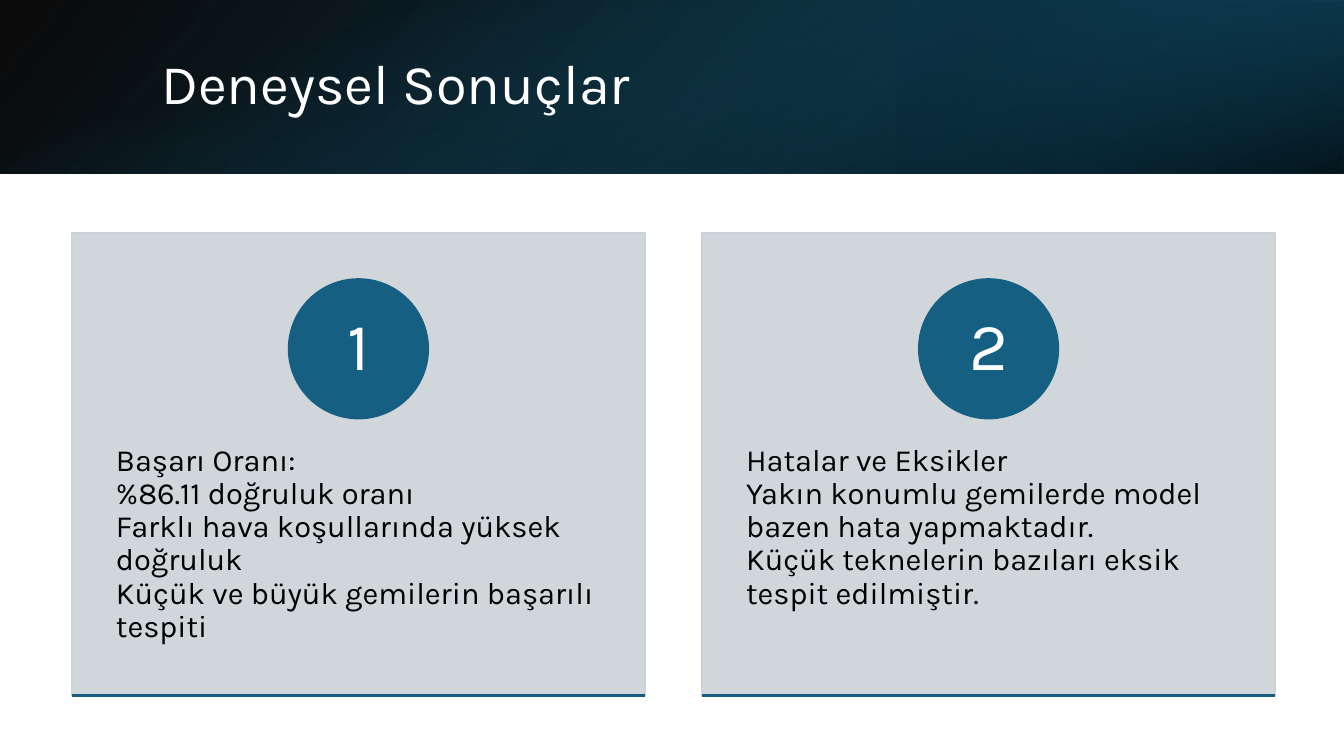
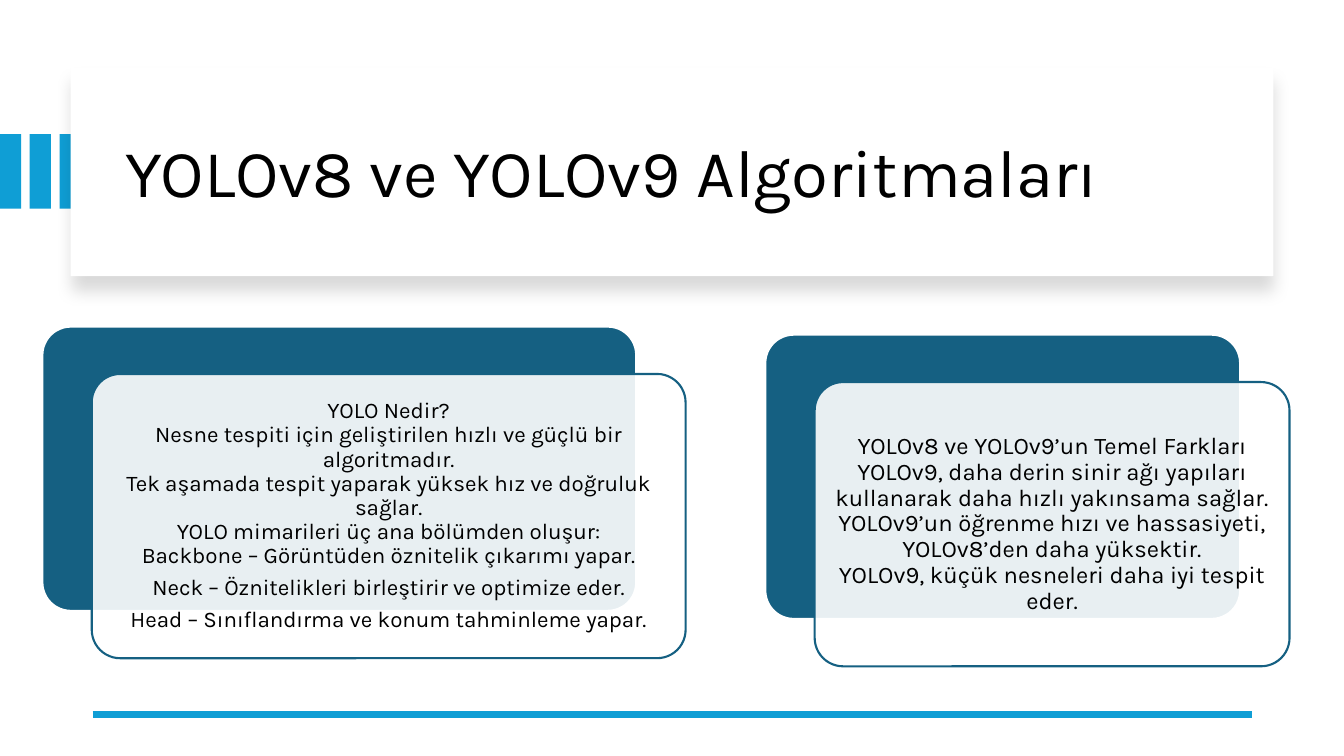
from copy import deepcopy
from dataclasses import dataclass
from typing import Any, Optional

from lxml.etree import SubElement
from pptx import Presentation
from pptx.dml.color import RGBColor
from pptx.enum.shapes import MSO_CONNECTOR, MSO_SHAPE
from pptx.enum.text import MSO_ANCHOR, MSO_AUTO_SIZE, PP_ALIGN
from pptx.oxml.ns import qn
from pptx.util import Inches, Pt

FONT = "Karla"
COLORS = {
    "white": "FFFFFF",
    "black": "000000",
    "navy": "104862",
    "deep": "0B3041",
    "petrol": "156082",
    "sky": "0F9ED5",
    "card": "CCD2D8",
}


@dataclass(frozen=True)
class Box:
    left: float
    top: float
    width: float
    height: float

    def lengths(self) -> tuple:
        return tuple(Inches(v) for v in (self.left, self.top, self.width, self.height))


@dataclass(frozen=True)
class TextStyle:
    size: float
    color: str = "black"
    align: Any = PP_ALIGN.LEFT
    anchor: Any = MSO_ANCHOR.MIDDLE
    insets: tuple = (0.1, 0.05, 0.1, 0.05)  # left, top, right, bottom


@dataclass(frozen=True)
class Layer:
    """One translucent gradient of the title band; stops are position, colour, opacity."""
    box: Box
    angle: float
    stops: tuple
    rotation: float = 0
    flipped: bool = False


@dataclass(frozen=True)
class Card:
    left: float
    number: str
    text: str


@dataclass(frozen=True)
class Panel:
    left: float
    top: float
    width: float
    size: float
    paragraphs: tuple


BAND_LAYERS = (
    Layer(Box(0, 0, 13.33, 1.72), 140,
          ((0, "black", 96), (100, "navy", 100)), flipped=True),
    Layer(Box(8.89, 0, 4.44, 1.72), 320,
          ((19, "deep", 68), (100, "petrol", 79)), rotation=180, flipped=True),
    Layer(Box(5.8, -5.8, 1.72, 13.33), 340,
          ((23, "petrol", 0), (99, "black", 74)), rotation=90),
)

CARDS = (
    Card(0.71, "1",
         "Başarı Oranı:\n%86.11 doğruluk oranı\n"
         "Farklı hava koşullarında yüksek doğruluk\n"
         "Küçük ve büyük gemilerin başarılı tespiti"),
    Card(6.96, "2",
         "Hatalar ve Eksikler\n"
         "Yakın konumlu gemilerde model bazen hata yapmaktadır.\n"
         "Küçük teknelerin bazıları eksik tespit edilmiştir."),
)

PANELS = (
    Panel(0.42, 3.24, 5.89, 16, (
        "YOLO Nedir?\n"
        "Nesne tespiti için geliştirilen hızlı ve güçlü bir algoritmadır.\n"
        "Tek aşamada tespit yaparak yüksek hız ve doğruluk sağlar.\n"
        "YOLO mimarileri üç ana bölümden oluşur:\n"
        "Backbone – Görüntüden öznitelik çıkarımı yapar.",
        "Neck – Öznitelikleri birleştirir ve optimize eder.",
        "Head – Sınıflandırma ve konum tahminleme yapar.")),
    Panel(7.59, 3.32, 4.71, 17, (
        "YOLOv8 ve YOLOv9’un Temel Farkları\n"
        "YOLOv9, daha derin sinir ağı yapıları kullanarak daha hızlı yakınsama sağlar.\n"
        "YOLOv9’un öğrenme hızı ve hassasiyeti, YOLOv8’den daha yüksektir.\n"
        "YOLOv9, küçük nesneleri daha iyi tespit eder.",)),
)


def rgb(name: str) -> RGBColor:
    return RGBColor.from_string(COLORS[name])


def set_attributes(target: Any, values: dict) -> None:
    for name, value in values.items():
        setattr(target, name, value)


def set_opacity(color_parent: Any, percent: float) -> None:
    """Add an alpha value to the colour inside a solid fill or gradient stop."""
    color = next(color_parent.iter(qn("a:srgbClr")))
    SubElement(color, qn("a:alpha")).set("val", str(int(percent * 1000)))


# Text
def write_text(shape: Any, paragraphs: tuple, style: TextStyle) -> None:
    frame = shape.text_frame
    set_attributes(frame, {
        "word_wrap": True,
        "auto_size": MSO_AUTO_SIZE.NONE,
        "vertical_anchor": style.anchor,
    })
    sides = ("margin_left", "margin_top", "margin_right", "margin_bottom")
    set_attributes(frame, {side: Inches(v) for side, v in zip(sides, style.insets)})
    for index, text in enumerate(paragraphs):
        paragraph = frame.paragraphs[0] if index == 0 else frame.add_paragraph()
        paragraph.text = text
        set_attributes(paragraph, {
            "alignment": style.align,
            "line_spacing": 0.9,
            "space_before": Pt(0),
            "space_after": Pt(style.size * 0.35),
        })
        for run in paragraph.runs:
            set_attributes(run.font, {"name": FONT, "size": Pt(style.size)})
            run.font.color.rgb = rgb(style.color)
        # Line breaks take the size of the text around them
        for line_break in paragraph._p.findall(qn("a:br")):
            line_break.append(deepcopy(paragraph.runs[0]._r.rPr))


def set_title(slide: Any, text: str, box: Box, style: TextStyle) -> None:
    title = slide.shapes.title
    names = ("left", "top", "width", "height")
    set_attributes(title, dict(zip(names, box.lengths())))
    write_text(title, (text,), style)
    # Text stays in front of the decoration drawn before it
    slide.shapes._spTree.append(title._element)


# Shapes
def add_shape(slide: Any, kind: Any, box: Box, fill: str,
              line: Optional[str] = None, opacity: float = 100) -> Any:
    shape = slide.shapes.add_shape(kind, *box.lengths())
    shape.shadow.inherit = False
    shape.fill.solid()
    shape.fill.fore_color.rgb = rgb(fill)
    if opacity < 100:
        set_opacity(shape._element.spPr.find(qn("a:solidFill")), opacity)
    if line:
        shape.line.color.rgb = rgb(line)
        shape.line.width = Pt(1.5)
    else:
        shape.line.fill.background()
    return shape


def add_rule(slide: Any, left: float, right: float, top: float,
             color: str, width: float) -> None:
    rule = slide.shapes.add_connector(
        MSO_CONNECTOR.STRAIGHT, Inches(left), Inches(top), Inches(right), Inches(top))
    rule.line.color.rgb = rgb(color)
    rule.line.width = Pt(width)
    SubElement(rule._element.spPr, qn("a:effectLst"))


def add_layer(slide: Any, layer: Layer) -> None:
    shape = add_shape(slide, MSO_SHAPE.RECTANGLE, layer.box, "black")
    shape.rotation = layer.rotation
    shape.fill.gradient()
    shape.fill.gradient_angle = 360 - layer.angle  # counted anticlockwise
    for stop, (position, color, opacity) in zip(shape.fill.gradient_stops, layer.stops):
        stop.position = position / 100
        stop.color.rgb = rgb(color)
        set_opacity(stop._gs, opacity)
    if layer.flipped:
        shape._element.spPr.find(qn("a:xfrm")).set("flipH", "1")


def add_soft_shadow(shape: Any) -> None:
    effects = shape._element.spPr.find(qn("a:effectLst"))
    shadow = SubElement(effects, qn("a:outerShdw"))
    values = {"blurRad": Pt(11), "dist": Pt(10), "dir": 90 * 60000,
              "algn": "t", "rotWithShape": 0}
    for name, value in values.items():
        shadow.set(name, str(value))
    SubElement(shadow, qn("a:srgbClr")).set("val", COLORS["black"])
    set_opacity(shadow, 15)


def add_card(slide: Any, card: Card) -> None:
    box = Box(card.left, 2.31, 5.69, 4.59)
    diameter = 1.38
    body = add_shape(slide, MSO_SHAPE.RECTANGLE, box, "card", "card", 90)
    write_text(body, (card.text,), TextStyle(
        22, anchor=MSO_ANCHOR.TOP, insets=(0.44, 2.1, 0.44, 0.36)))
    circle = add_shape(
        slide, MSO_SHAPE.OVAL,
        Box(box.left + (box.width - diameter) / 2, 2.77, diameter, diameter),
        "petrol", "petrol")
    write_text(circle, (card.number,), TextStyle(
        48, "white", PP_ALIGN.CENTER, insets=(0.11, 0.01, 0.11, 0.01)))
    add_rule(slide, box.left, box.left + box.width, box.top + box.height, "petrol", 1.5)


def add_panel(slide: Any, panel: Panel) -> None:
    height, offset_x, offset_y = 2.82, 0.49, 0.47
    back = add_shape(slide, MSO_SHAPE.ROUNDED_RECTANGLE,
                     Box(panel.left, panel.top, panel.width, height), "petrol", "white")
    front = add_shape(slide, MSO_SHAPE.ROUNDED_RECTANGLE,
                      Box(panel.left + offset_x, panel.top + offset_y, panel.width, height),
                      "white", "petrol", 90)
    for shape in (back, front):
        shape.adjustments[0] = 0.1
    write_text(front, panel.paragraphs, TextStyle(
        panel.size, align=PP_ALIGN.CENTER, insets=(0.07,) * 4))


# Slides
def build_results(slide: Any) -> None:
    for layer in BAND_LAYERS:
        add_layer(slide, layer)
    set_title(slide, "Deneysel Sonuçlar", Box(1.5, 0.38, 10.98, 0.96),
              TextStyle(40, "white"))
    for card in CARDS:
        add_card(slide, card)


def build_algorithms(slide: Any) -> None:
    for index in range(3):
        add_shape(slide, MSO_SHAPE.RECTANGLE,
                  Box(index * 0.59 / 2, 1.33, 0.21, 0.74), "sky")
    title_card = add_shape(slide, MSO_SHAPE.RECTANGLE,
                           Box(0.7, 0.67, 11.93, 2.07), "white")
    add_soft_shadow(title_card)
    set_title(slide, "YOLOv8 ve YOLOv9 Algoritmaları", Box(1.14, 0.89, 11.13, 1.7),
              TextStyle(48))
    add_rule(slide, 0.92, 12.42, 7.09, "sky", 4.5)
    for panel in PANELS:
        add_panel(slide, panel)


def main() -> None:
    presentation = Presentation()
    presentation.slide_width = Inches(13.33)
    presentation.slide_height = Inches(7.5)
    title_only = presentation.slide_layouts[5]
    for build in (build_results, build_algorithms):
        build(presentation.slides.add_slide(title_only))
    presentation.save("out.pptx")


if __name__ == "__main__":
    main()
